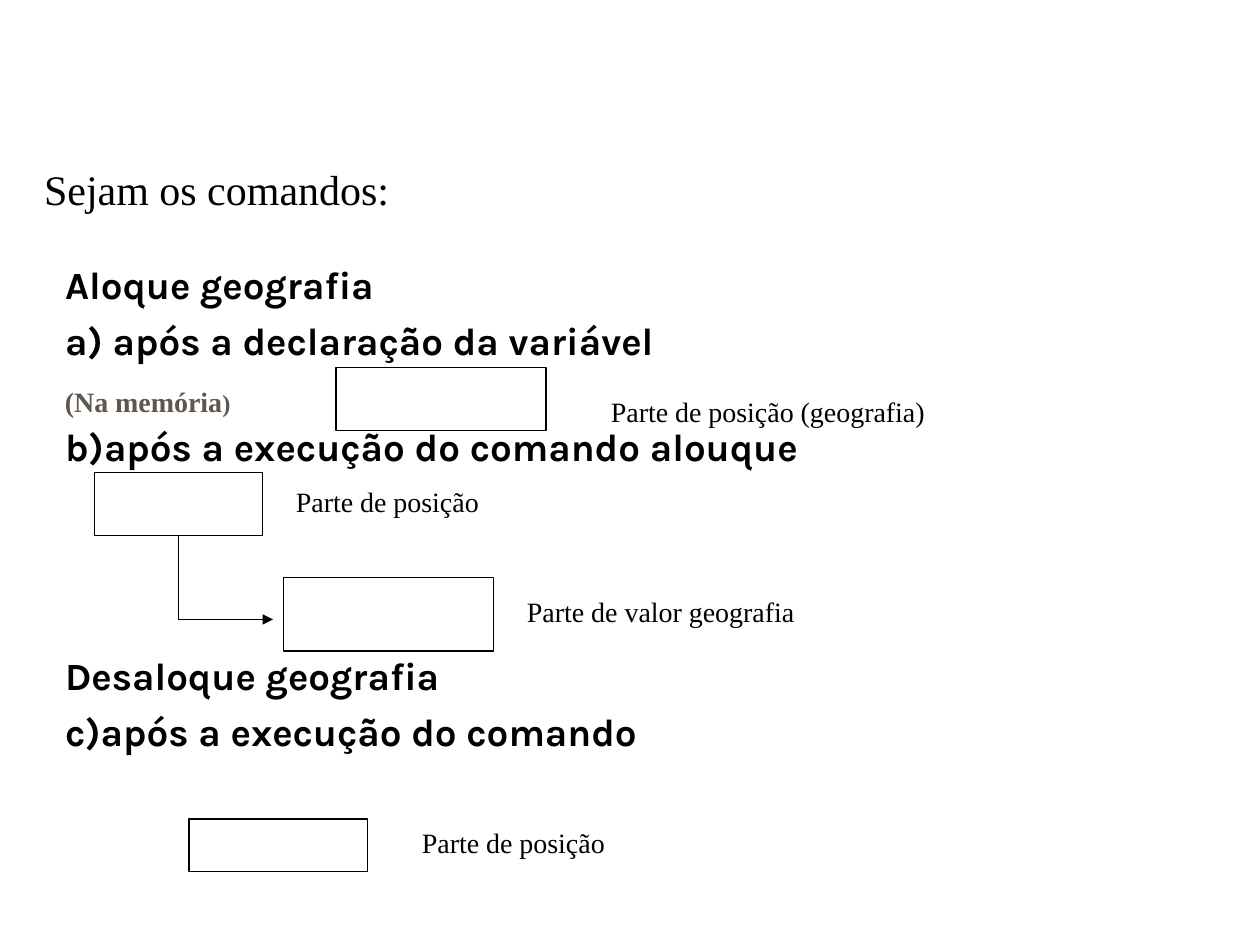
from dataclasses import dataclass

from lxml import etree
from pptx import Presentation
from pptx.dml.color import RGBColor
from pptx.enum.shapes import MSO_CONNECTOR, MSO_SHAPE
from pptx.enum.text import MSO_ANCHOR, MSO_AUTO_SIZE, PP_ALIGN
from pptx.oxml.ns import qn
from pptx.util import Inches, Pt

RECTANGLE = MSO_SHAPE.RECTANGLE
STRAIGHT = MSO_CONNECTOR.STRAIGHT
BOTTOM, LEFT = MSO_ANCHOR.BOTTOM, PP_ALIGN.LEFT
NO_FIT = MSO_AUTO_SIZE.NONE
BOTTOM_SIDE = 2


@dataclass(frozen=True)
class Theme:
    ink: RGBColor = RGBColor(0x00, 0x00, 0x00)
    muted: RGBColor = RGBColor(0x5E, 0x57, 0x4E)
    serif: str = "Times New Roman"
    sans: str = "Karla"
    title_size: int = 24
    body_size: int = 22
    label_size: int = 16
    small_size: int = 14
    line_width: float = 0.75
    line_pitch: float = 31.9
    space_before: float = 5.5


THEME = Theme()
COLUMNS, ROWS = 120, 90
UNIT = Inches(10) // COLUMNS
LABEL_HEIGHT = 4.4

TITLE = ("Sejam os comandos:", (3, 6, 102, 15))
BODY_AREA = (5, 19, 102, 75)
BODY_TOP_INSET = 0.49
COMMANDS = [
    ("Aloque geografia", 0),
    ("a) após a declaração da variável", 0),
    ("b)após a execução do comando alouque", 0.9),
    ("Desaloque geografia", 3.1),
    ("c)após a execução do comando", 0),
]
MEMORY_CELLS = {
    "declared": (32, 35, 20, 6),
    "pointer": (9, 45, 16, 6),
    "value": (27, 55, 20, 7),
    "released": (18, 78, 17, 5),
}
LABELS = [
    ("Parte de posição (geografia)", 57, 37, 35),
    ("Parte de posição", 27, 45.6, 37),
    ("Parte de valor geografia", 49, 56, 39),
    ("Parte de posição", 39, 78, 35),
]
MEMORY_NOTE = (("(Na memória", ")"), 5, 36, 26)
POINTER_PATH = [(17, 51), (17, 59), (26, 59)]


def grid(*values):
    return [round(value * UNIT) for value in values]


def place(shape, area):
    shape.left, shape.top, shape.width, shape.height = grid(*area)


def style(span, font, size, color, bold=False):
    span.font.name = font
    span.font.size = Pt(size)
    span.font.color.rgb = color
    span.font.bold = bold


def fill_title(box):
    text, area = TITLE
    place(box, area)
    frame = box.text_frame
    frame.text = text
    frame.vertical_anchor = BOTTOM
    frame.auto_size = NO_FIT
    para = frame.paragraphs[0]
    para.alignment = LEFT
    style(para.runs[0], THEME.serif, THEME.title_size, THEME.ink)


def fill_body(box):
    place(box, BODY_AREA)
    frame = box.text_frame
    frame.text = "\n".join(text for text, skipped in COMMANDS)
    frame.auto_size = NO_FIT
    frame.margin_top = Inches(BODY_TOP_INSET)
    for index, (para, (text, skipped)) in enumerate(zip(frame.paragraphs, COMMANDS)):
        properties = para._p.get_or_add_pPr()
        properties.set("marL", str(Inches(0.38)))
        properties.set("indent", str(-Inches(0.38)))
        etree.SubElement(properties, qn("a:buNone"))
        gap = THEME.space_before + skipped * THEME.line_pitch
        para.space_before = Pt(gap if index else 0)
        style(para.runs[0], THEME.sans, THEME.body_size, THEME.ink, True)


def add_cell(page, area):
    cell = page.shapes.add_shape(RECTANGLE, *grid(*area))
    cell.shadow.inherit = False
    cell.fill.background()
    cell.line.color.rgb = THEME.ink
    cell.line.width = Pt(THEME.line_width)
    return cell


def add_label(page, text, left, top, width):
    box = page.shapes.add_textbox(*grid(left, top, width, LABEL_HEIGHT))
    box.text_frame.word_wrap = True
    para = box.text_frame.paragraphs[0]
    para.text = text
    style(para.runs[0], THEME.serif, THEME.label_size, THEME.ink)
    return para


def add_memory_note(page):
    (words, bracket), left, top, width = MEMORY_NOTE
    para = add_label(page, words, left, top, width)
    para.add_run().text = bracket
    for span, size in zip(para.runs, (THEME.label_size, THEME.small_size)):
        style(span, THEME.serif, size, THEME.muted, True)


def add_pointer(page, cell):
    lines = []
    for start, end in zip(POINTER_PATH, POINTER_PATH[1:]):
        line = page.shapes.add_connector(STRAIGHT, *grid(*start, *end))
        line.line.color.rgb = THEME.ink
        line.line.width = Pt(THEME.line_width)
        etree.SubElement(line._element.spPr, qn("a:effectLst"))
        lines.append(line)
    lines[0].begin_connect(cell, BOTTOM_SIDE)
    etree.SubElement(lines[-1].line._get_or_add_ln(), qn("a:tailEnd"), type="triangle")


def main():
    deck = Presentation()
    deck.slide_width, deck.slide_height = COLUMNS * UNIT, ROWS * UNIT
    page = deck.slides.add_slide(deck.slide_layouts[1])
    fill_title(page.shapes.title)
    fill_body(page.placeholders[1])
    cells = {name: add_cell(page, area) for name, area in MEMORY_CELLS.items()}
    add_memory_note(page)
    for label in LABELS:
        add_label(page, *label)
    add_pointer(page, cells["pointer"])
    deck.save("out.pptx")


if __name__ == "__main__":
    main()
